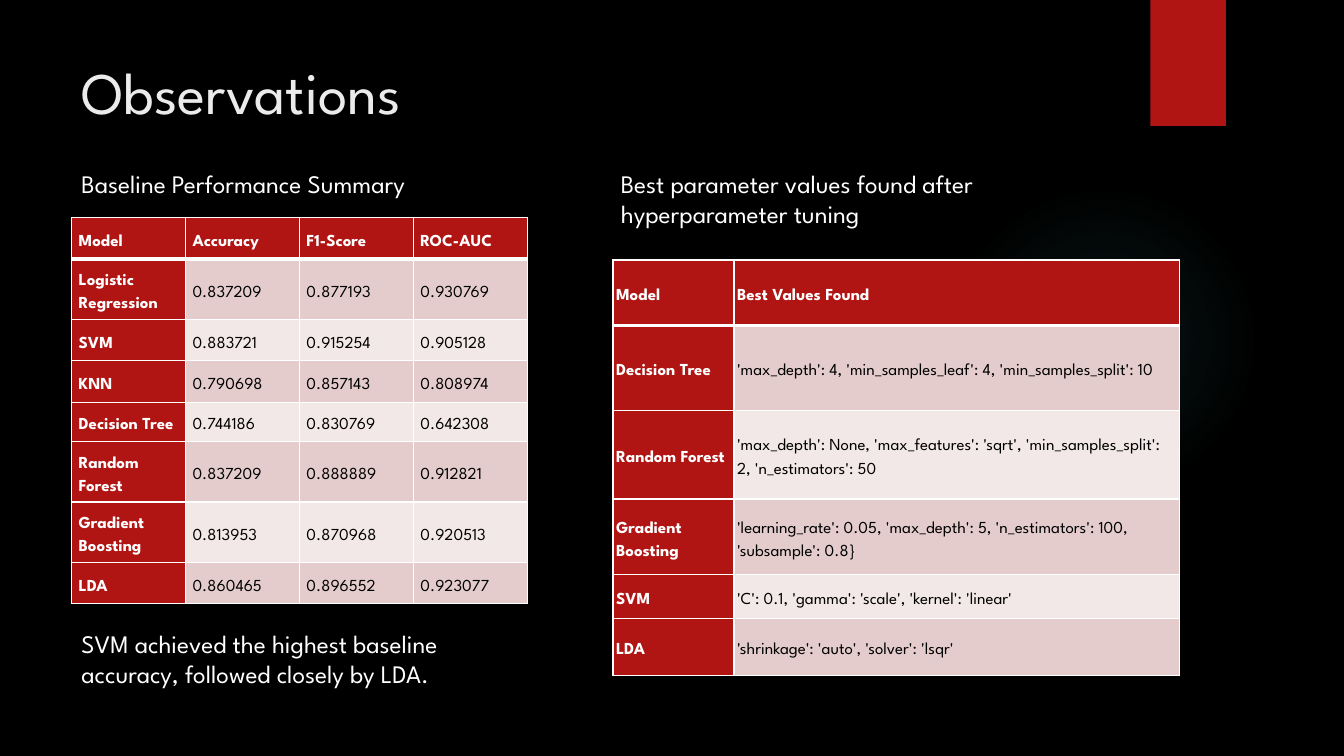
from lxml import etree
from pptx import Presentation
from pptx import util as u
from pptx.dml.color import RGBColor
from pptx.enum import shapes, text
from pptx.oxml import ns

PX = 9144  # EMU per px, 100 px to the inch
COLORS = {
    "background": "000000",
    "accent": "B01513",
    "glow": "50B9C1",
    "title": "EBEBEB",
    "light": "FFFFFF",
    "dark": "000000",
    "odd_row": "E4CCCC",
    "even_row": "F2E8E7",
}


def rgb(name):
    return RGBColor.from_string(COLORS[name])


def sub(parent, tag, **attrs):
    return etree.SubElement(parent, ns.qn(tag), {k: str(v) for k, v in attrs.items()})


class Deck:
    FONT = "League Spartan"

    def __init__(self, width, height):
        self.prs = Presentation()
        self.prs.slide_width, self.prs.slide_height = width * PX, height * PX
        self.slide = self.prs.slides.add_slide(self.prs.slide_layouts[5])
        self.slide.background.fill.solid()
        self.slide.background.fill.fore_color.rgb = rgb("background")

    def style(self, paragraph, size, color, bold=False):
        font = paragraph.font
        font.name, font.size, font.bold = self.FONT, u.Pt(size), bold
        font.color.rgb = rgb(color)

    def shape(self, kind, *box):
        shape = self.slide.shapes.add_shape(kind, *(v * PX for v in box))
        shape.shadow.inherit = False
        shape.line.fill.background()
        return shape

    def block(self, *box):
        block = self.shape(shapes.MSO_SHAPE.RECTANGLE, *box)
        block.fill.solid()
        block.fill.fore_color.rgb = rgb("accent")

    def glow(self, *box):
        glow = self.shape(shapes.MSO_SHAPE.OVAL, *box)
        grad = etree.Element(ns.qn("a:gradFill"))
        stops = sub(grad, "a:gsLst")
        for position, alpha in ((0, 7), (36, 6), (69, 0)):
            stop = sub(stops, "a:gs", pos=position * 1000)
            color = sub(stop, "a:srgbClr", val=COLORS["glow"])
            sub(color, "a:alpha", val=alpha * 1000)
        circle = sub(grad, "a:path", path="circle")
        sub(circle, "a:fillToRect", l=50000, t=50000, r=50000, b=50000)
        glow._element.spPr.find(ns.qn("a:prstGeom")).addnext(grad)

    def title(self, words, *box):
        title = self.slide.shapes.title
        title.left, title.top, title.width, title.height = (v * PX for v in box)
        frame = title.text_frame
        frame.text = words
        frame.auto_size = text.MSO_AUTO_SIZE.NONE
        frame.vertical_anchor = text.MSO_ANCHOR.TOP
        heading = frame.paragraphs[0]
        heading.alignment = text.PP_ALIGN.LEFT
        heading.line_spacing = 1.0
        self.style(heading, 42, "title")

    def caption(self, words, *box):
        frame = self.slide.shapes.add_textbox(*(v * PX for v in box)).text_frame
        frame.word_wrap = True
        frame.auto_size = text.MSO_AUTO_SIZE.SHAPE_TO_FIT_TEXT
        frame.text = words
        self.style(frame.paragraphs[0], 18, "light")

    def borders(self, cell, row):
        props = cell._tc.get_or_add_tcPr()
        thick_side = {0: "B", 1: "T"}.get(row)
        for side in "LRTB":
            points = 3 if side == thick_side else 1
            line = sub(props, f"a:ln{side}", w=u.Pt(points))
            sub(sub(line, "a:solidFill"), "a:srgbClr", val=COLORS["light"])

    def table(self, left, top, widths, heights, inset, rows):
        table = self.slide.shapes.add_table(
            len(rows), len(widths), left * PX, top * PX,
            sum(widths) * PX, sum(heights) * PX).table
        table.first_col = True
        for column, width in zip(table.columns, widths):
            column.width = width * PX
        for r, (values, height) in enumerate(zip(rows, heights)):
            table.rows[r].height = height * PX
            for c, value in enumerate(values):
                heading = r == 0 or c == 0
                band = "odd_row" if r % 2 else "even_row"
                cell = table.cell(r, c)
                self.borders(cell, r)
                cell.fill.solid()
                cell.fill.fore_color.rgb = rgb("accent" if heading else band)
                cell.vertical_anchor = text.MSO_ANCHOR.MIDDLE
                cell.margin_left = cell.margin_right = inset * PX
                cell.margin_top = cell.margin_bottom = 0
                cell.text = value
                entry = cell.text_frame.paragraphs[0]
                entry.line_spacing, entry.space_after = 1.5, u.Pt(8)
                self.style(entry, 12, "light" if heading else "dark", heading)


BASELINE = [
    ("Model", "Accuracy", "F1-Score", "ROC-AUC"),
    ("Logistic Regression", "0.837209", "0.877193", "0.930769"),
    ("SVM", "0.883721", "0.915254", "0.905128"),
    ("KNN", "0.790698", "0.857143", "0.808974"),
    ("Decision Tree", "0.744186", "0.830769", "0.642308"),
    ("Random Forest", "0.837209", "0.888889", "0.912821"),
    ("Gradient Boosting", "0.813953", "0.870968", "0.920513"),
    ("LDA", "0.860465", "0.896552", "0.923077"),
]
TUNED = [
    ("Model", "Best Values Found"),
    ("Decision Tree", "'max_depth': 4, 'min_samples_leaf': 4, 'min_samples_split': 10"),
    ("Random Forest", "'max_depth': None, 'max_features': 'sqrt', "
                      "'min_samples_split': 2, 'n_estimators': 50"),
    ("Gradient Boosting", "'learning_rate': 0.05, 'max_depth': 5, "
                          "'n_estimators': 100, 'subsample': 0.8}"),
    ("SVM", "'C': 0.1, 'gamma': 'scale', 'kernel': 'linear'"),
    ("LDA", "'shrinkage': 'auto', 'solver': 'lsqr'"),
]


def main():
    deck = Deck(1333, 750)

    # Backdrop and title
    deck.glow(941, 183, 308, 308)
    deck.block(1141, 0, 75, 125)
    deck.title("Observations", 71, 50, 1029, 153)

    # Baseline results
    deck.caption("Baseline Performance Summary", 71, 162, 413, 40)
    deck.table(71, 216, [113] * 4, [41, 54, 41, 41, 39, 54, 54, 41], 7, BASELINE)
    deck.caption("SVM achieved the highest baseline accuracy, followed closely by LDA.",
                 71, 618, 453, 71)

    # Tuned parameters
    deck.caption("Best parameter values found after hyperparameter tuning",
                 606, 162, 469, 71)
    deck.table(608, 258, [120, 442], [65, 84, 88, 75, 44, 56], 3, TUNED)

    deck.prs.save("out.pptx")


if __name__ == "__main__":
    main()
